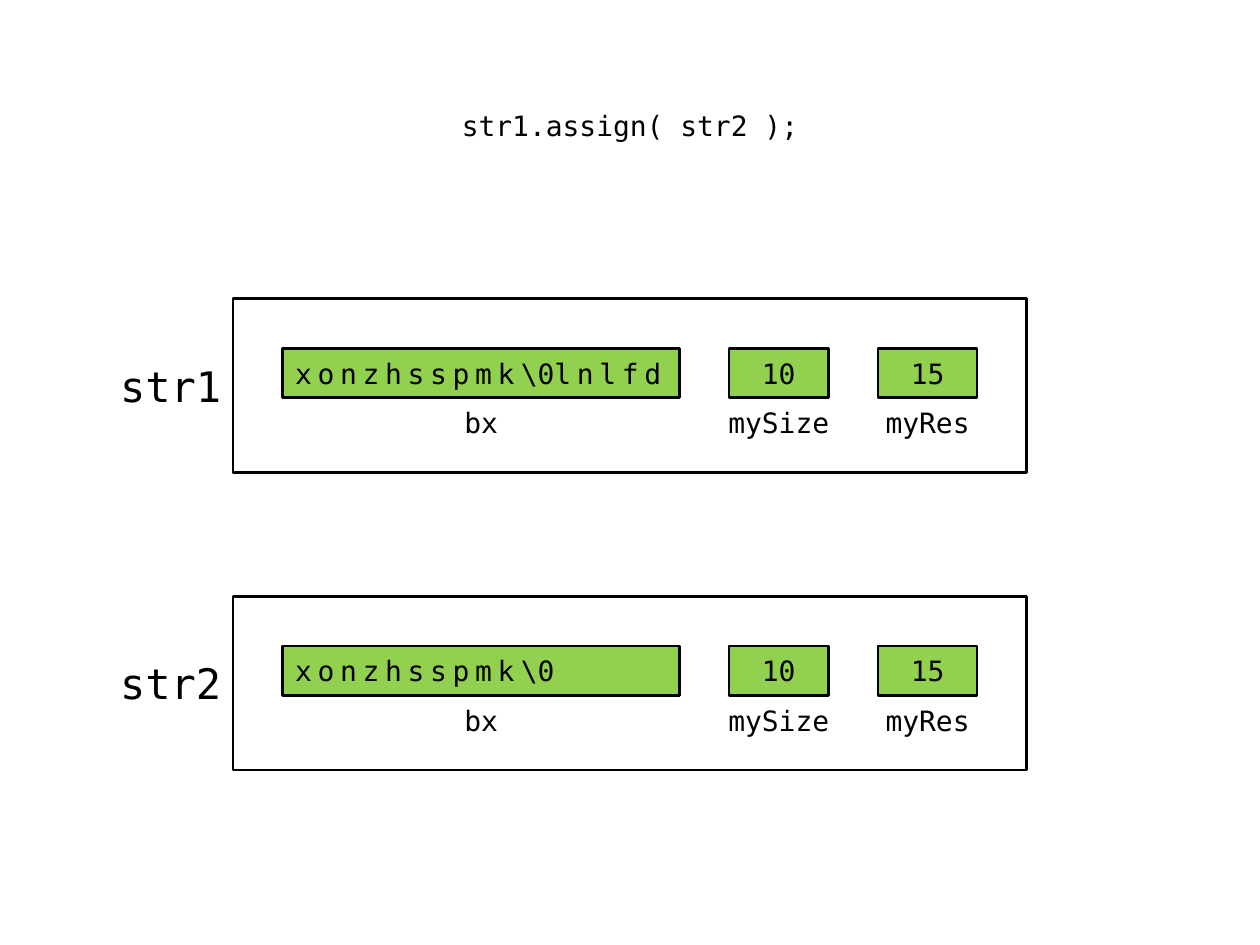
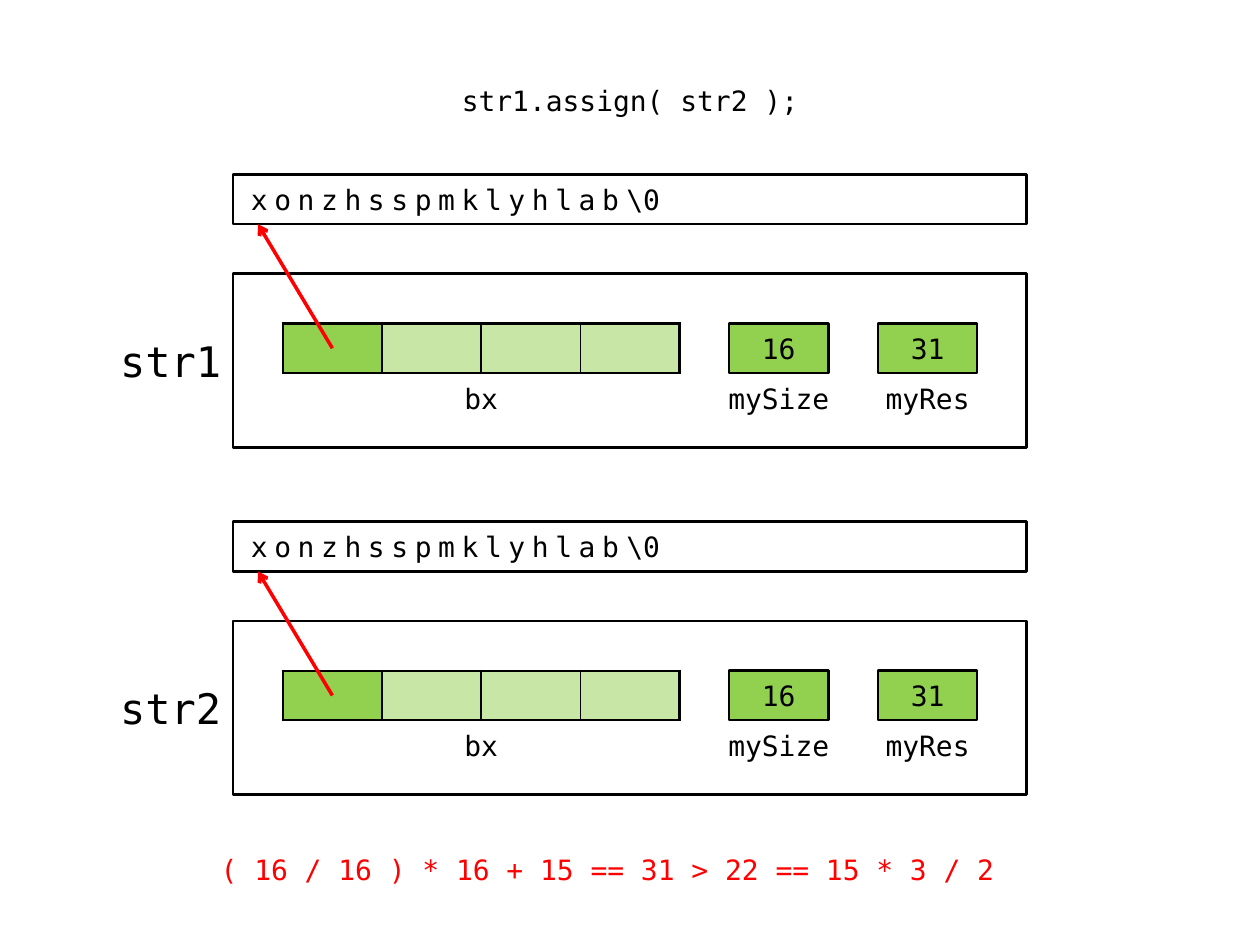
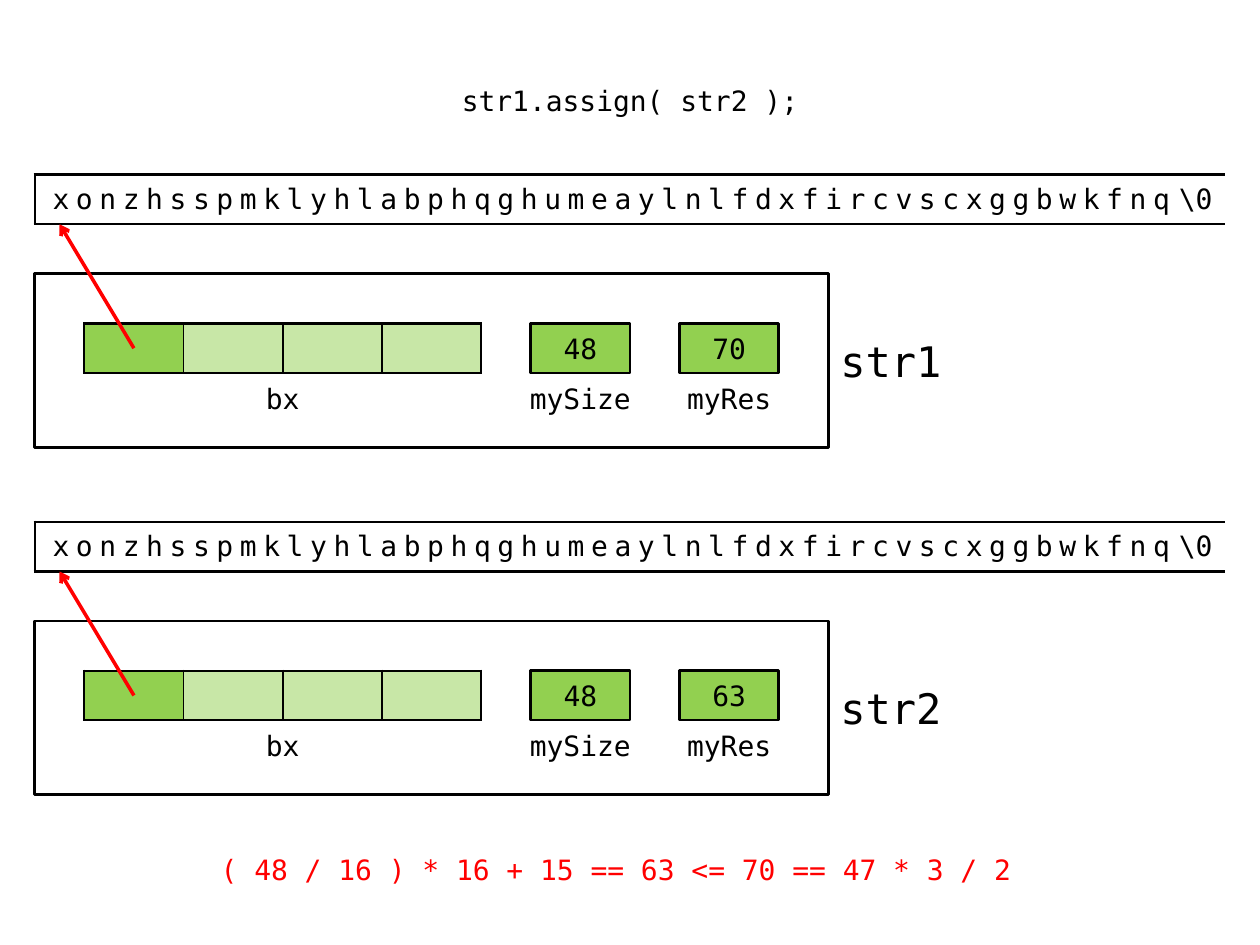
from lxml.etree import SubElement
from pptx import Presentation
from pptx.dml.color import RGBColor
from pptx.enum.shapes import MSO_CONNECTOR as Connector, MSO_SHAPE as Preset
from pptx.enum.text import MSO_ANCHOR as Anchor, PP_ALIGN as Align
from pptx.oxml.ns import qn
from pptx.util import Emu, Inches, Pt

EMU_PER_PX = 7200
FONT = "DejaVu Sans Mono"
BLACK, WHITE, GREEN, RED = "000000", "FFFFFF", "92D050", "FF0000"
UNIT = 50
BOX_WIDTH, BOX_HEIGHT = 800, 175
NAME_WIDTH, NAME_HEIGHT = 125, 75
OUTLINE, DIVIDER = 1.5, 1
SHORT_TEXT = "xonzhsspmk"
MEDIUM_TEXT = "xonzhsspmklyhlab"
LONG_TEXT = "xonzhsspmklyhlabphqghumeaylnlfdxfircvscxggbwkfnq"
BUFFER_MARGINS = {"margin_left": 18, "margin_right": 8, "margin_top": 0, "margin_bottom": 0}
NO_MARGINS = dict.fromkeys(BUFFER_MARGINS, 0)


def px(*lengths):
    """Turn pixel lengths into EMU."""
    return [Emu(length * EMU_PER_PX) for length in lengths]


def rgb(code):
    """Return the colour of a hex string."""
    return RGBColor.from_string(code)


def apply(target, formats):
    """Set every attribute named in formats on target."""
    for attribute, value in formats.items():
        setattr(target, attribute, value)


def set_margins(holder, margins):
    """Set margins given in pixels on a text frame or table cell."""
    apply(holder, {side: px(length)[0] for side, length in margins.items()})


def write(frame, pieces, align=Align.CENTER, size=16, color=BLACK):
    """Write (text, letter spacing) pieces as runs of one paragraph."""
    paragraph = frame.paragraphs[0]
    paragraph.alignment = align
    for text, spacing in pieces:
        run = paragraph.add_run()
        run.text = text
        apply(run.font, {"name": FONT, "size": Pt(size)})
        run.font.color.rgb = rgb(color)
        if spacing:
            run._r.get_or_add_rPr().set("spc", str(round(spacing * 100)))


def terminated(text, spacing, leftover=""):
    """Return the pieces of a spaced text that ends in a null character."""
    pieces = [(text, spacing), ("\\", -1.5), ("0", 0)]
    return pieces + [(leftover, spacing)] if leftover else pieces


def add_text(slide, area, text, margins=None, **style):
    """Add a line of free text."""
    frame = slide.shapes.add_textbox(*px(*area)).text_frame
    apply(frame, {"word_wrap": True, "vertical_anchor": Anchor.MIDDLE})
    set_margins(frame, margins or {})
    write(frame, [(text, 0)], **style)


def add_block(slide, preset, area, fill=None, pieces=(), margins=None, align=Align.CENTER):
    """Add a rectangle, outlined if it is filled, with text."""
    block = slide.shapes.add_shape(preset, *px(*area))
    block.shadow.inherit = False
    if fill:
        block.fill.solid()
        block.fill.fore_color.rgb = rgb(fill)
        block.line.color.rgb = rgb(BLACK)
        block.line.width = Pt(OUTLINE)
    else:
        block.fill.background()
        block.line.fill.background()
    apply(block.text_frame, {"word_wrap": True, "vertical_anchor": Anchor.MIDDLE})
    set_margins(block.text_frame, margins or {})
    write(block.text_frame, pieces, align)


def add_row(slide, area, columns):
    """Add a one-row table and return its cells."""
    table = slide.shapes.add_table(1, columns, *px(*area)).table
    apply(table, {"first_row": False, "horz_banding": False})
    return list(table.rows[0].cells)


def set_borders(cell, left, right):
    """Draw cell borders, leaving out a side whose width is zero."""
    widths = {"lnL": left, "lnR": right, "lnT": OUTLINE, "lnB": OUTLINE}
    for side, width in widths.items():
        border = SubElement(cell._tc.get_or_add_tcPr(), qn(f"a:{side}"), w=str(Pt(width)))
        if width:
            paint = SubElement(border, qn("a:solidFill"))
            SubElement(paint, qn("a:srgbClr"), val=BLACK)
        else:
            SubElement(border, qn("a:noFill"))


def add_pointer_row(slide, left, top):
    """Add the bx storage, of which the first quarter holds the pointer."""
    cells = add_row(slide, (left, top, 8 * UNIT, UNIT), 4)
    for index, cell in enumerate(cells):
        set_margins(cell, NO_MARGINS)
        set_borders(cell, DIVIDER if index else OUTLINE,
                    OUTLINE if index == len(cells) - 1 else DIVIDER)
        cell.fill.solid()
        cell.fill.fore_color.rgb = rgb(GREEN)
        if index:
            for color in cell._tc.tcPr.find(qn("a:solidFill")):
                SubElement(color, qn("a:alpha"), val="50000")


def add_arrow(slide, start, end):
    """Add a red arrow from start to end."""
    arrow = slide.shapes.add_connector(Connector.STRAIGHT, *px(*start, *end))
    arrow.line.color.rgb = rgb(RED)
    arrow.line.width = Pt(2)
    SubElement(arrow.line._get_or_add_ln(), qn("a:tailEnd"), type="arrow")
    SubElement(arrow._element.spPr, qn("a:effectLst"))


def add_open_buffer(slide, left, top, text):
    """Add a heap buffer that runs on past its right end."""
    cell, = add_row(slide, (left, top, 24 * UNIT, UNIT), 1)
    set_margins(cell, BUFFER_MARGINS)
    cell.vertical_anchor = Anchor.MIDDLE
    set_borders(cell, OUTLINE, 0)
    cell.fill.background()
    write(cell.text_frame, terminated(text, 3.8), Align.LEFT)


def add_closed_buffer(slide, left, top, text):
    """Add a heap buffer with four sides."""
    add_block(slide, Preset.RECTANGLE, (left, top, BOX_WIDTH, UNIT), WHITE,
              terminated(text, 3.8), BUFFER_MARGINS, Align.LEFT)


def add_string(slide, name, left, top, size, capacity, name_right=False):
    """Add a string object with its name, members and member labels."""
    name_left = left + BOX_WIDTH if name_right else left - NAME_WIDTH
    outer, inner = ("right", "left") if name_right else ("left", "right")
    add_text(slide, (name_left, top + UNIT, NAME_WIDTH, NAME_HEIGHT), name,
             {f"margin_{outer}": 10, f"margin_{inner}": 12},
             align=Align.LEFT if name_right else Align.RIGHT, size=24)
    add_block(slide, Preset.FLOWCHART_PROCESS, (left, top, BOX_WIDTH, BOX_HEIGHT), WHITE)
    for label, center, width in (("bx", 250, 100), ("mySize", 550, 150), ("myRes", 700, 150)):
        add_block(slide, Preset.FLOWCHART_PROCESS,
                  (left + center - width // 2, top + 2 * UNIT, width, UNIT), pieces=[(label, 0)])
    for value, offset in ((size, 500), (capacity, 650)):
        add_block(slide, Preset.RECTANGLE, (left + offset, top + UNIT, 2 * UNIT, UNIT),
                  GREEN, [(str(value), 0)])


def add_heap_string(slide, name, left, top, size, capacity, text, add_buffer, name_right=False):
    """Add a string whose bx points to a buffer above it."""
    add_string(slide, name, left, top, size, capacity, name_right)
    add_pointer_row(slide, left + UNIT, top + UNIT)
    add_buffer(slide, left, top - 2 * UNIT, text)
    add_arrow(slide, (left + 100, top + 75), (left + 25, top - UNIT))


def add_call_slide(deck, top):
    """Add a slide headed by the call that is shown."""
    slide = deck.slides.add_slide(deck.slide_layouts[6])
    add_text(slide, (435, top, 400, UNIT), "str1.assign( str2 );")
    return slide


def add_formula(slide, text):
    """Add the red capacity calculation."""
    add_text(slide, (210, 851, 850, UNIT), text, align=Align.LEFT, color=RED)


def main():
    """Build the three assignment cases."""
    deck = Presentation()
    apply(deck, {"slide_width": Inches(10), "slide_height": Inches(7.5)})

    local = add_call_slide(deck, 101)
    for name, top, leftover in (("str1", 301, "lnlfd"), ("str2", 601, "")):
        add_string(local, name, 235, top, 10, 15)
        add_block(local, Preset.RECTANGLE, (285, top + UNIT, 8 * UNIT, UNIT), GREEN,
                  terminated(SHORT_TEXT, 3.3, leftover), align=Align.LEFT)

    rounded = add_call_slide(deck, 76)
    for name, top in (("str1", 276), ("str2", 626)):
        add_heap_string(rounded, name, 235, top, 16, 31, MEDIUM_TEXT, add_closed_buffer)
    add_formula(rounded, "( 16 / 16 ) * 16 + 15 == 31 > 22 == 15 * 3 / 2")

    grown = add_call_slide(deck, 76)
    for name, top, capacity in (("str1", 276, 70), ("str2", 626, 63)):
        add_heap_string(grown, name, 35, top, 48, capacity, LONG_TEXT, add_open_buffer, True)
    add_formula(grown, "( 48 / 16 ) * 16 + 15 == 63 <= 70 == 47 * 3 / 2")

    deck.save("out.pptx")


if __name__ == "__main__":
    main()
